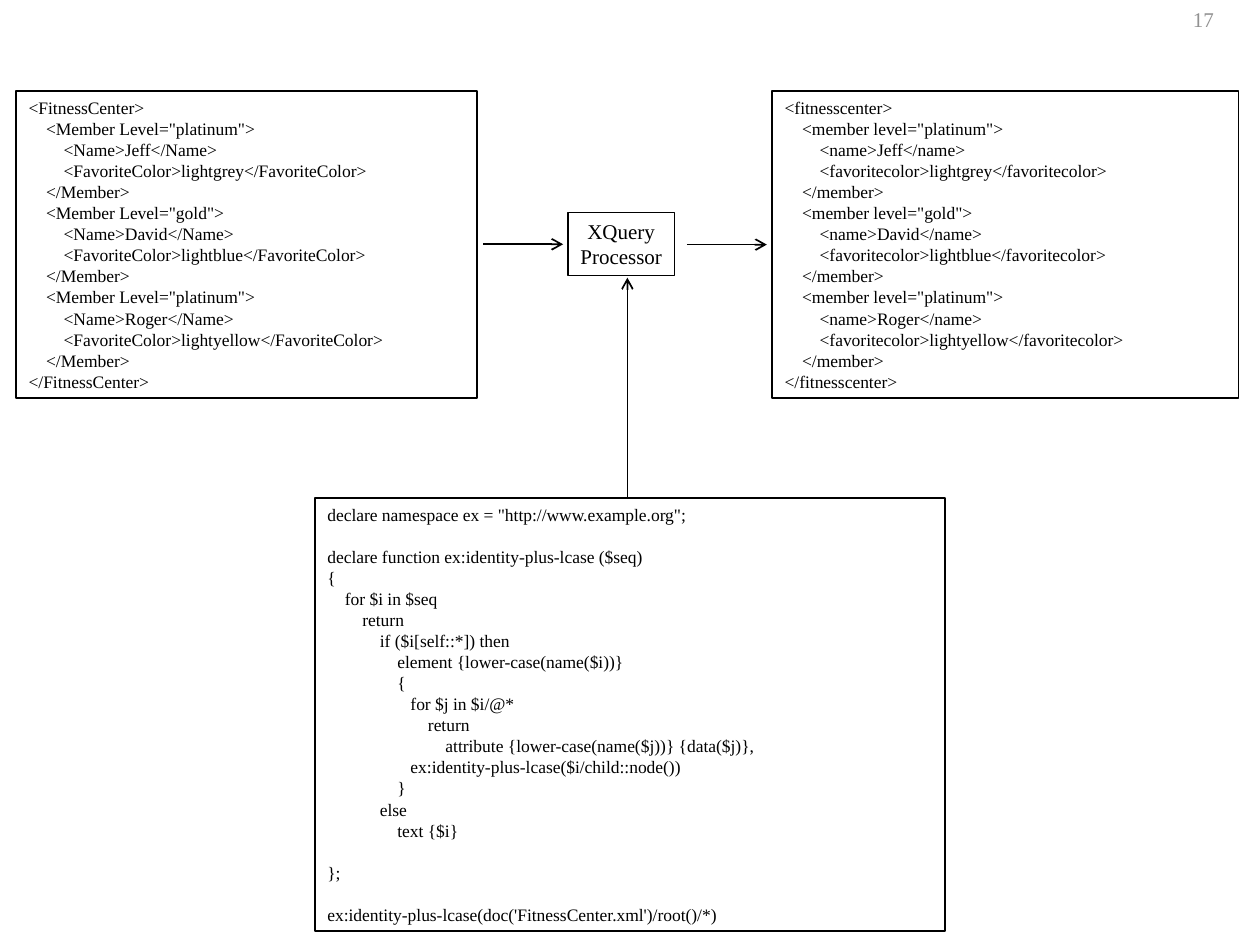
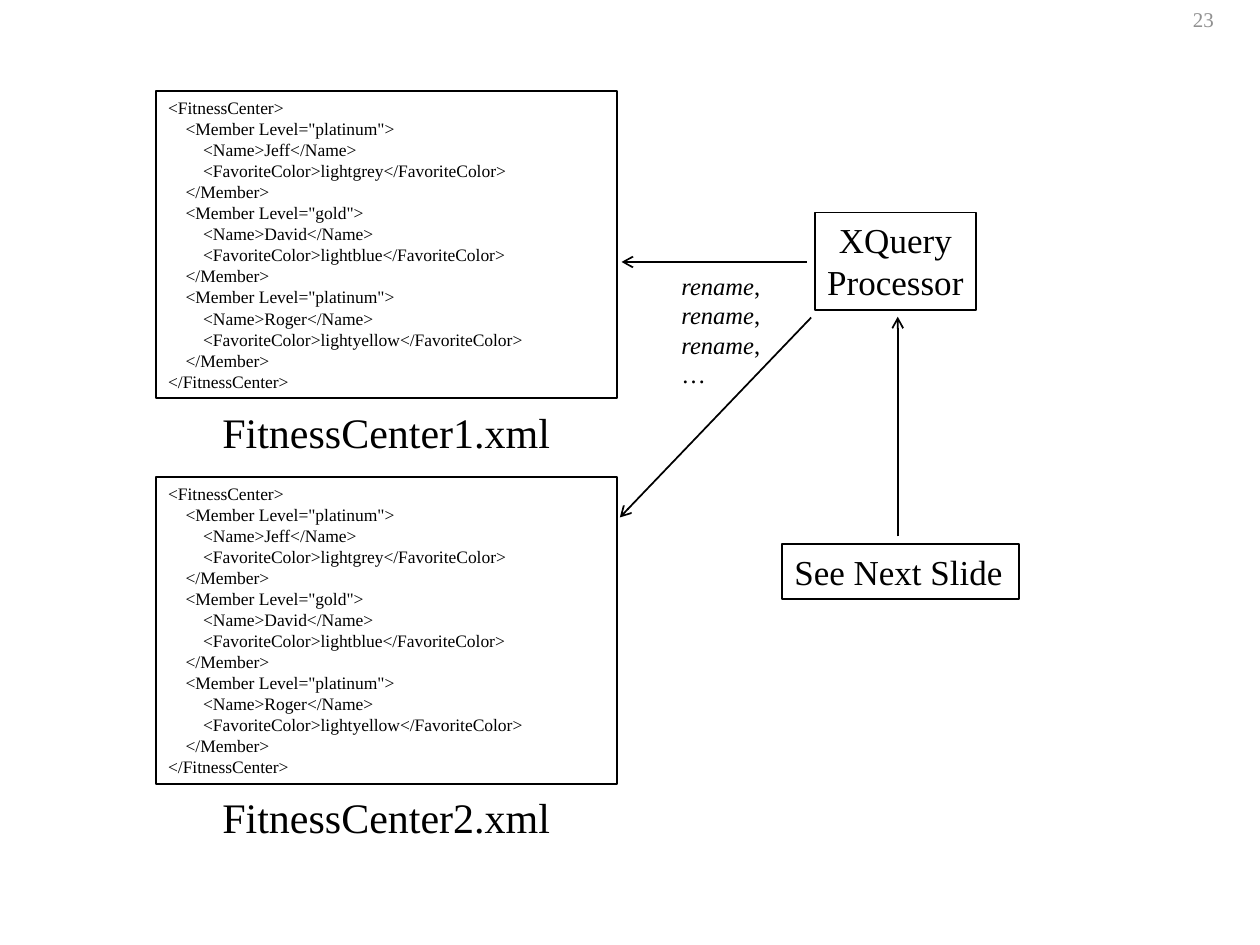
"""Build two slides showing XQuery transforming and updating XML documents."""
from dataclasses import dataclass
from typing import Callable

from lxml import etree
from pptx import Presentation
from pptx import slide as s
from pptx import util as u
from pptx.dml import color
from pptx.enum import shapes, text
from pptx.oxml import ns
from pptx.shapes import autoshape

COLORS = {"ink": "000000", "paper": "FFFFFF", "page_number": "919191"}
FONT = "Times New Roman"
CODE_SIZE = 10
SPACE_WIDTH = 0.25
BLANK_LINE = 1.2
PANEL_TOP = 52
PANEL_WIDTH = 263.5
PANEL_HEIGHT = 175.5
FILE_LEFT = 89
FILE_STEP = 220.4

QUERY = """declare namespace ex = "http://www.example.org";

declare function ex:identity-plus-lcase ($seq)
{
    for $i in $seq
        return
            if ($i[self::*]) then
                element {lower-case(name($i))}
                {
                   for $j in $i/@*
                       return
                           attribute {lower-case(name($j))} {data($j)},
                   ex:identity-plus-lcase($i/child::node())
                }
            else
                text {$i}

};

ex:identity-plus-lcase(doc('FitnessCenter.xml')/root()/*)"""


@dataclass(frozen=True)
class Member:
    level: str
    name: str
    color: str


@dataclass(frozen=True)
class Box:
    left: float
    top: float
    width: float
    height: float
    text: str
    size: float = CODE_SIZE
    color: str = "ink"
    border: bool = True
    filled: bool = True
    centered: bool = False
    wrap: bool = True
    italic: str = ""


@dataclass(frozen=True)
class Arrow:
    start: tuple[float, float]
    end: tuple[float, float]


MEMBERS = [
    Member("platinum", "Jeff", "lightgrey"),
    Member("gold", "David", "lightblue"),
    Member("platinum", "Roger", "lightyellow"),
]


def fitness_xml(case: Callable[[str], str] = str) -> str:
    """Return the fitness center document with its names put in the given case."""
    root, member_tag, level, name, favorite = map(
        case, ("FitnessCenter", "Member", "Level", "Name", "FavoriteColor"))
    lines = [f"<{root}>"]
    for member in MEMBERS:
        lines += [
            f'    <{member_tag} {level}="{member.level}">',
            f"        <{name}>{member.name}</{name}>",
            f"        <{favorite}>{member.color}</{favorite}>",
            f"    </{member_tag}>",
        ]
    return "\n".join([*lines, f"</{root}>"])


def write(frame: text, content: str, *, size: float, color_name: str = "ink",
          centered: bool = False, italic: str = "") -> None:
    """Write lines, turning leading spaces into indents and blank lines into spacing."""
    paragraph, blank_lines = frame.paragraphs[0], 0
    for number, line in enumerate(content.split("\n")):
        if not line:
            blank_lines += 1
            continue
        if number:
            paragraph = frame.add_paragraph()
        words = line.lstrip()
        indent = u.Pt((len(line) - len(words)) * size * SPACE_WIDTH)
        paragraph._p.get_or_add_pPr().set("marL", str(indent))
        paragraph.alignment = text.PP_ALIGN.CENTER if centered else text.PP_ALIGN.LEFT
        paragraph.space_before = u.Pt(blank_lines * size * BLANK_LINE)
        blank_lines = 0
        for piece in filter(None, words.partition(italic) if italic else [words]):
            run = paragraph.add_run()
            run.text = piece
            run.font.name, run.font.size = FONT, u.Pt(size)
            run.font.italic = piece == italic
            run.font.color.rgb = color.RGBColor.from_string(COLORS[color_name])


def draw_box(slide: s.Slide, box: Box) -> autoshape.Shape:
    """Draw a bordered panel or a plain label."""
    place = [u.Pt(value) for value in (box.left, box.top, box.width, box.height)]
    if box.border:
        shape = slide.shapes.add_shape(shapes.MSO_SHAPE.RECTANGLE, *place)
        shape.shadow.inherit = False
        shape.line.color.rgb = color.RGBColor.from_string(COLORS["ink"])
        shape.line.width = u.Pt(1)
        if box.filled:
            shape.fill.solid()
            shape.fill.fore_color.rgb = color.RGBColor.from_string(COLORS["paper"])
        else:
            shape.fill.background()
    else:
        shape = slide.shapes.add_textbox(*place)
    frame = shape.text_frame
    frame.word_wrap = box.wrap
    frame.vertical_anchor = text.MSO_ANCHOR.TOP
    write(frame, box.text, size=box.size, color_name=box.color,
          centered=box.centered, italic=box.italic)
    return shape


def draw_arrow(slide: s.Slide, arrow: Arrow) -> None:
    """Draw a straight line with an open arrowhead at its end."""
    connector = slide.shapes.add_connector(
        shapes.MSO_CONNECTOR.STRAIGHT,
        *(u.Pt(value) for value in (*arrow.start, *arrow.end)))
    connector.line.color.rgb = color.RGBColor.from_string(COLORS["ink"])
    connector.line.width = u.Pt(1)
    etree.SubElement(connector.line._get_or_add_ln(), ns.qn("a:tailEnd"), type="arrow")
    etree.SubElement(connector._element.spPr, ns.qn("a:effectLst"))


def processor(left: float, width: float, height: float, size: float) -> Box:
    """Describe the XQuery processor box."""
    return Box(left, 121.5, width, height, "XQuery\nProcessor", size,
               filled=False, centered=True, wrap=False)


def file_boxes(number: int) -> list[Box]:
    """Describe one numbered XML file with its name below it."""
    top = PANEL_TOP + (number - 1) * FILE_STEP
    return [
        Box(FILE_LEFT, top, PANEL_WIDTH, PANEL_HEIGHT, fitness_xml()),
        Box(120, top + 176.5, 202, 36, f"FitnessCenter{number}.xml", 24, border=False),
    ]


def add_slide(presentation: Presentation, page: int, boxes: list[Box],
              arrows: list[Arrow]) -> None:
    """Add a slide with its page number, boxes and arrows."""
    slide = presentation.slides.add_slide(presentation.slide_layouts[6])
    page_number = Box(674.6, 0, 45, 21.6, str(page), 12, "page_number", border=False)
    for box in [page_number, *boxes]:
        draw_box(slide, box)
    for arrow in arrows:
        draw_arrow(slide, arrow)


def main() -> None:
    """Build and save the presentation."""
    presentation = Presentation()
    presentation.slide_width, presentation.slide_height = u.Pt(720), u.Pt(540)
    add_slide(
        presentation, 17,
        [
            Box(9.3, PANEL_TOP, PANEL_WIDTH, PANEL_HEIGHT, fitness_xml()),
            Box(441.3, PANEL_TOP, 266.5, PANEL_HEIGHT, fitness_xml(str.lower)),
            processor(324.5, 61, 36, 12),
            Box(180, 284.5, 360, 247.5, QUERY),
        ],
        [
            Arrow((276.2, 139.6), (321.8, 139.6)),
            Arrow((392.5, 139.8), (438.2, 139.8)),
            Arrow((358.5, 284.5), (358.5, 158.7)),
        ])
    add_slide(
        presentation, 23,
        [
            *file_boxes(1),
            *file_boxes(2),
            processor(465.7, 92, 55.5, 20),
            Box(446.8, 310.8, 135.4, 31.5, "See Next Slide", 20),
            Box(382.3, 151.2, 66, 75, "rename,\nrename,\nrename,\n…", 14,
                border=False, italic="rename"),
        ],
        [
            Arrow((513, 306.5), (513, 181)),
            Arrow((461, 149.7), (355.2, 149.7)),
            Arrow((463.5, 181.5), (354.2, 295.7)),
        ])
    presentation.save("out.pptx")


if __name__ == "__main__":
    main()
